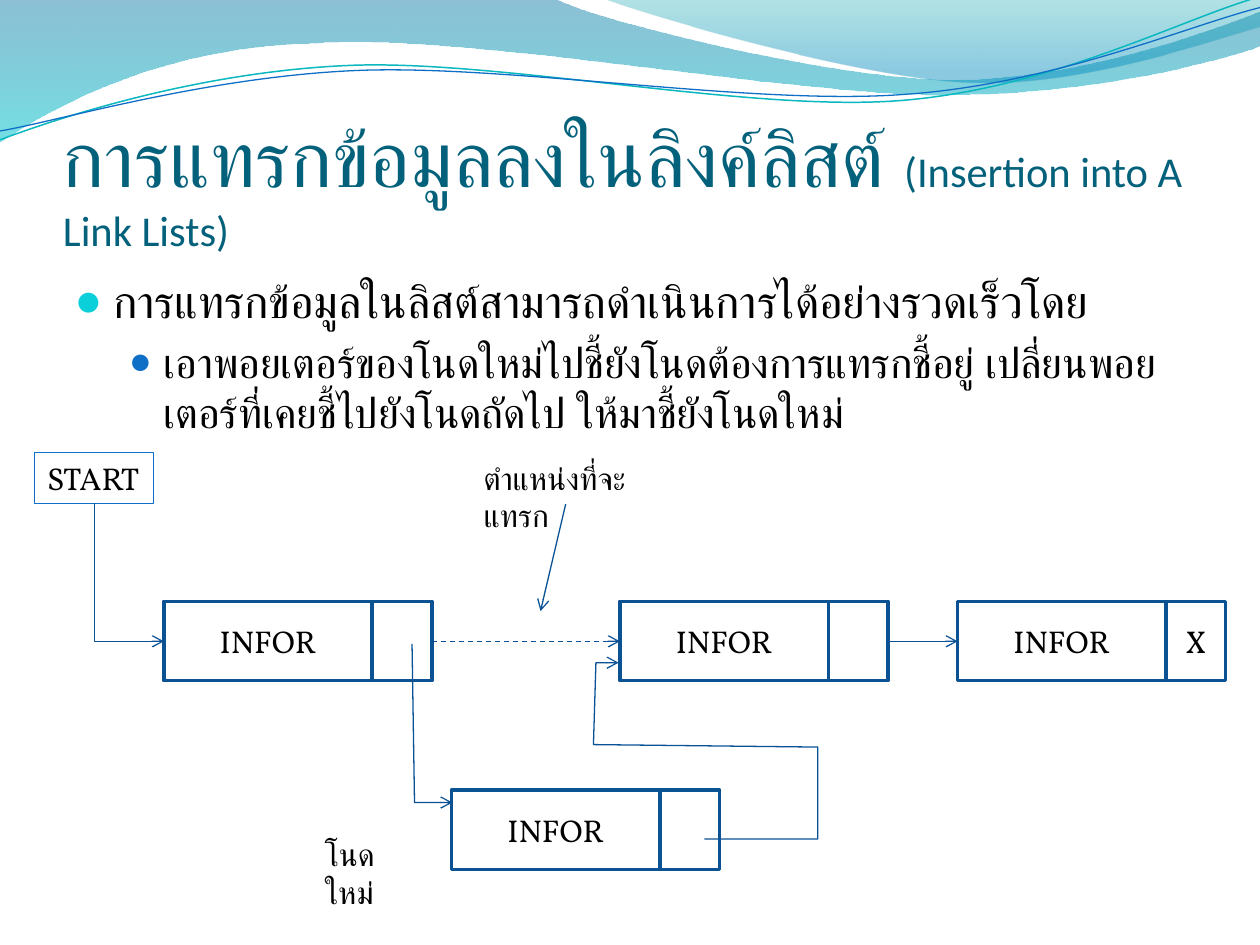
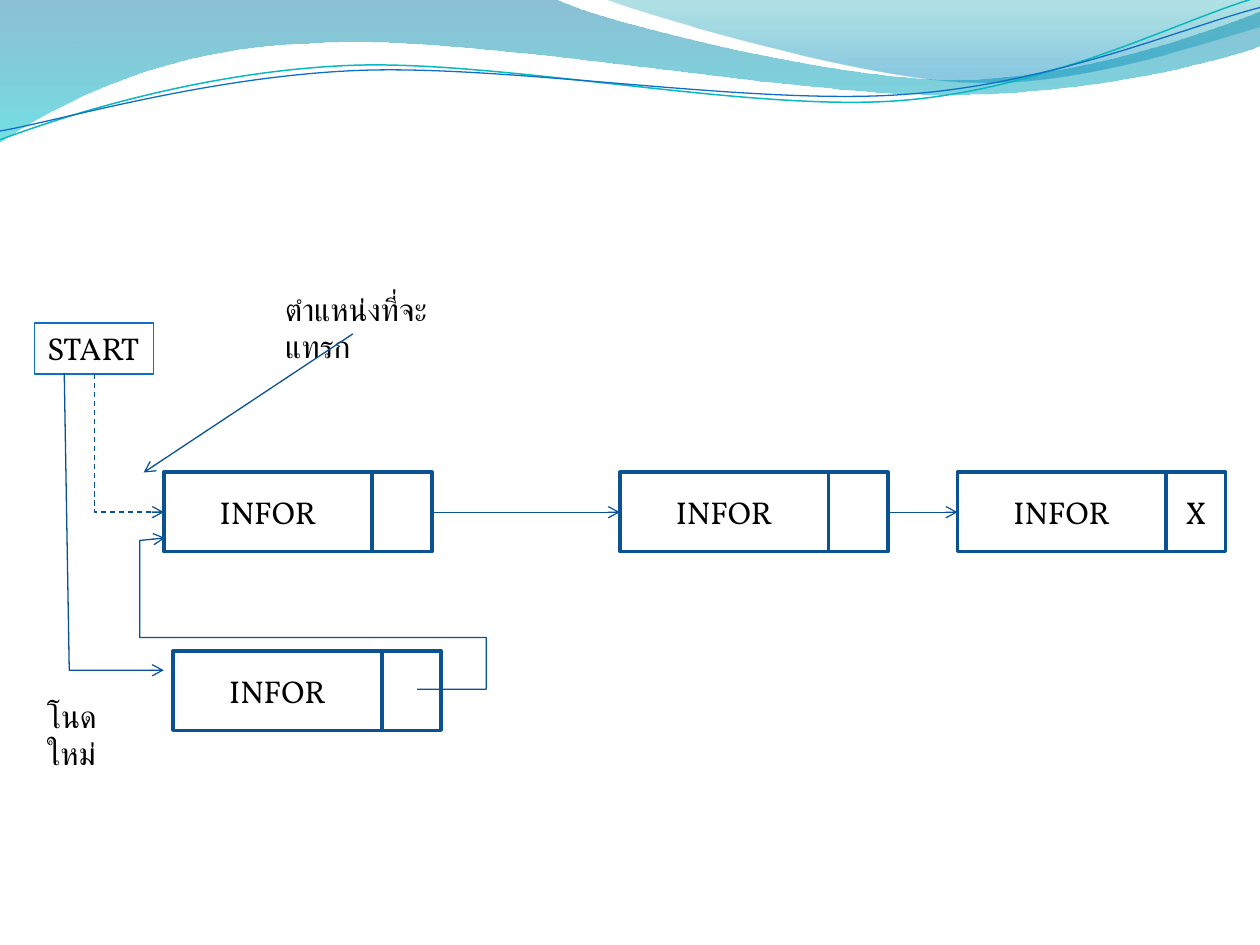
"""Builds two slides on inserting a node into a linked list."""
from dataclasses import dataclass

from pptx import Presentation
from pptx.dml.color import RGBColor
from pptx.enum.dml import MSO_LINE
from pptx.enum.shapes import MSO_CONNECTOR, MSO_SHAPE
from pptx.enum.text import MSO_ANCHOR, PP_ALIGN
from pptx.oxml.xmlchemy import OxmlElement
from pptx.util import Inches, Pt

RECTANGLE = MSO_SHAPE.RECTANGLE
STRAIGHT, ELBOW = MSO_CONNECTOR.STRAIGHT, MSO_CONNECTOR.ELBOW
DASH = MSO_LINE.DASH
TOP, MIDDLE, BOTTOM = MSO_ANCHOR.TOP, MSO_ANCHOR.MIDDLE, MSO_ANCHOR.BOTTOM
LEFT, CENTER = PP_ALIGN.LEFT, PP_ALIGN.CENTER

SLIDE_WIDTH, SLIDE_HEIGHT = Inches(10), Inches(7.5)
COLUMNS = 100
CELL = SLIDE_WIDTH // COLUMNS

TITLE_FONT, TEXT_FONT = "Calibri", "Vollkorn"
BLACK, WHITE, TITLE_COLOR = "000000", "FFFFFF", "04617B"
NODE_LINE, ARROW_LINE, START_LINE = "0B5292", "095295", "0F6FC6"

INFO_WIDTH, POINTER_WIDTH, NODE_HEIGHT = 16.55, 4.72, 6.3
NODE_COLUMNS = (13, 49.2, 76)
START_HEIGHT, START_TO_NODES, START_TO_ARROWS = 4.04, 11.83, 15

Point = tuple[float, float]
Strand = tuple[Point, ...]


@dataclass(frozen=True)
class Area:
    """A rectangle in grid columns and rows."""
    left: float
    top: float
    width: float
    height: float

    def emu(self) -> list[int]:
        """Returns the rectangle in slide units."""
        return [grid(n) for n in (self.left, self.top, self.width, self.height)]


@dataclass(frozen=True)
class Span:
    """A piece of text in one format."""
    text: str
    size: float = 18
    font: str = TEXT_FONT
    color: str = BLACK


@dataclass(frozen=True)
class Bullet:
    """A bulleted paragraph."""
    span: Span
    level: int
    margin: float
    hanging: float
    color: str
    percent: int


@dataclass(frozen=True)
class Stop:
    """A gradient stop with its opacity in percent."""
    position: float
    color: str
    opacity: int


@dataclass(frozen=True)
class Wave:
    """Strands that are single corners or chained cubic curves."""
    strands: tuple[Strand, ...]
    stops: tuple[Stop, ...] = ()
    line: str = ""
    width: float = 0.75


WAVES = (
    Wave((((0, 0),),
          ((44, -0.1), (47.6, 1.7), (66.4, 6.3), (75.8, 6.3),
           (85.3, 6.3), (95.8, 2.6), (100, 0.9)),
          ((100.1, 3.6), (98.3, 4.4), (87, 7.6), (74.6, 7.5),
           (62.2, 7.5), (38.2, 2.8), (25.7, 3.4),
           (12.9, 3.6), (4.6, 8.3), (-0.1, 11.3)),
          ((0, 0),)),
         stops=(Stop(0, "0074A1", 45), Stop(1, "00C6CF", 55))),
    Wave((((47.9, -0.1), (50.9, 1.1), (68.2, 6.2), (76.9, 6.5),
           (85.6, 6.9), (96.1, 3.2), (100, 2.1)),
          ((100, 0),),
          ((47.9, -0.1),)),
         stops=(Stop(0, "00A1A9", 30), Stop(0.8, "008BBF", 45))),
    Wave((((0, 11.1), (4.8, 9.3), (15.8, 5.7), (27.7, 5.2),
           (39.5, 4.7), (59.3, 8.9), (71.3, 8),
           (83.3, 7.1), (93.8, 1.5), (99.8, -0.2)),),
         line="0AB8BF", width=0.85),
    Wave((((0, 10.4), (4.7, 9.6), (16.4, 6.1), (28.3, 5.6),
           (40.3, 5.1), (59.7, 8.4), (71.7, 7.5),
           (83.6, 6.7), (94.1, 2.1), (100, 0.6)),),
         line="0F6FC6"),
)

TITLE = (Span("การแทรกข้อมูลลงในลิงค์ลิสต์ ", 45, TITLE_FONT, TITLE_COLOR),
         Span("(Insertion into A Link Lists)", 24.3, TITLE_FONT, TITLE_COLOR))
BULLETS = (
    Bullet(Span("การแทรกข้อมูลในลิสต์สามารถดำเนินการได้อย่างรวดเร็วโดย", 26),
           0, 3, 3, "0BD0D9", 95),
    Bullet(Span("เอาพอยเตอร์ของโนดใหม่ไปชี้ยังโนดต้องการแทรกชี้อยู่ "
                "เปลี่ยนพอยเตอร์ที่เคยชี้ไปยังโนดถัดไป ให้มาชี้ยังโนดใหม่", 24),
           1, 7, 2.7, "0F6FC6", 85),
)


def grid(count: float) -> int:
    """Turns grid cells into slide units."""
    return round(count * CELL)


def rgb(color: str) -> RGBColor:
    """Turns a hex string into a colour."""
    return RGBColor.from_string(color)


def add_child(parent, tag: str, **attributes):
    """Appends an XML element with attributes."""
    child = OxmlElement(tag)
    for name, value in attributes.items():
        child.set(name, str(value))
    parent.append(child)
    return child


def add_span(para, span: Span):
    """Adds one run to a paragraph."""
    run = para.add_run()
    run.text = span.text
    run.font.size, run.font.name = Pt(span.size), span.font
    run.font.color.rgb = rgb(span.color)
    return run


def style_line(shape, color: str, width: float, dashed: bool = False,
               arrow: bool = False) -> None:
    """Sets colour, width, dash and arrowhead of a line."""
    shape.line.color.rgb = rgb(color)
    shape.line.width = Pt(width)
    if dashed:
        shape.line.dash_style = DASH
    if arrow:
        add_child(shape._element.xpath(".//a:ln")[0], "a:tailEnd", type="arrow")


def add_outline(page, points: list[Point], close: bool = False):
    """Adds an unfilled outline through the points."""
    first, *rest = [(grid(x), grid(y)) for x, y in points]
    builder = page.shapes.build_freeform(*first, scale=1.0)
    builder.add_line_segments(rest, close=close)
    shape = builder.convert_to_shape()
    shape.shadow.inherit = False
    shape.fill.background()
    return shape


def bend(shape, strands: tuple[Strand, ...]) -> None:
    """Turns the straight steps of each curved strand into cubic curves."""
    steps = shape._element.xpath(".//a:lnTo")
    start = 0
    for strand in strands:
        for first in range(start, start + len(strand) - 1, 3):
            curve = OxmlElement("a:cubicBezTo")
            steps[first].addprevious(curve)
            for step in steps[first:first + 3]:
                curve.append(step[0])
                step.getparent().remove(step)
        start += len(strand)


def add_wave(page, wave: Wave):
    """Draws a gradient band or a curved line."""
    points = [point for strand in wave.strands for point in strand]
    shape = add_outline(page, points, close=bool(wave.stops))
    bend(shape, wave.strands)
    if wave.line:
        style_line(shape, wave.line, wave.width)
        return shape
    shape.line.fill.background()
    shape.fill.gradient()
    shape.fill.gradient_angle = 270
    for target, stop in zip(shape.fill.gradient_stops, wave.stops):
        target.position = stop.position
        target.color.rgb = rgb(stop.color)
    for color, stop in zip(shape._element.xpath(".//a:gs/a:srgbClr"), wave.stops):
        add_child(color, "a:alpha", val=stop.opacity * 1000)
    return shape


def add_text(page, area: Area, *spans: Span, anchor=TOP):
    """Adds a wrapping text box with one paragraph."""
    box = page.shapes.add_textbox(*area.emu())
    frame = box.text_frame
    frame.word_wrap, frame.vertical_anchor = True, anchor
    for span in spans:
        add_span(frame.paragraphs[0], span)
    return frame


def add_bullets(page, area: Area) -> None:
    """Adds the bulleted body text."""
    frame = add_text(page, area)
    for index, bullet in enumerate(BULLETS):
        para = frame.add_paragraph() if index else frame.paragraphs[0]
        para.level = bullet.level
        add_span(para, bullet.span)
        props = para._p.get_or_add_pPr()
        props.set("marL", str(grid(bullet.margin)))
        props.set("indent", str(-grid(bullet.hanging)))
        add_child(add_child(props, "a:spcBef"), "a:spcPct", val=20000)
        add_child(add_child(props, "a:buClr"), "a:srgbClr", val=bullet.color)
        add_child(props, "a:buSzPct", val=bullet.percent * 1000)
        add_child(props, "a:buFont", typeface=TITLE_FONT)
        add_child(props, "a:buChar", char="●")


def add_cell(page, area: Area, text: str = "") -> None:
    """Draws one compartment of a node."""
    shape = page.shapes.add_shape(RECTANGLE, *area.emu())
    shape.shadow.inherit = False
    shape.fill.solid()
    shape.fill.fore_color.rgb = rgb(WHITE)
    style_line(shape, NODE_LINE, 2)
    if text:
        shape.text_frame.vertical_anchor = MIDDLE
        para = shape.text_frame.paragraphs[0]
        para.alignment = CENTER
        add_span(para, Span(text))


def add_node(page, left: float, top: float, pointer: str = "") -> None:
    """Draws a node with its data and pointer compartments."""
    add_cell(page, Area(left, top, INFO_WIDTH, NODE_HEIGHT), "INFOR")
    add_cell(page, Area(left + INFO_WIDTH, top, POINTER_WIDTH, NODE_HEIGHT), pointer)


def add_arrow(page, start: Point, end: Point, dashed: bool = False, kind=STRAIGHT):
    """Draws an arrow between two points."""
    line = page.shapes.add_connector(kind, *(grid(n) for n in (*start, *end)))
    style_line(line, ARROW_LINE, 0.75, dashed, arrow=True)
    add_child(line._element.spPr, "a:effectLst")
    return line


def add_corner_arrow(page, start: Point, end: Point, dashed: bool) -> None:
    """Draws an arrow that runs down and then right."""
    middle_x, middle_y = (start[0] + end[0]) / 2, (start[1] + end[1]) / 2
    half_width, half_height = (end[1] - start[1]) / 2, (end[0] - start[0]) / 2
    line = add_arrow(page, (middle_x + half_width, middle_y - half_height),
                     (middle_x - half_width, middle_y + half_height), dashed, ELBOW)
    line._element.xpath(".//a:prstGeom")[0].set("prst", "bentConnector2")
    line._element.xpath(".//a:xfrm")[0].set("rot", str(270 * 60000))


def add_route(page, *points: Point) -> None:
    """Draws an arrow along several points."""
    style_line(add_outline(page, list(points)), ARROW_LINE, 0.75, arrow=True)


def add_start(page, top: float) -> None:
    """Draws the START box with outlined letters."""
    start = page.shapes.add_shape(RECTANGLE, *Area(2.75, top, 9.45, START_HEIGHT).emu())
    start.shadow.inherit = False
    start.fill.background()
    style_line(start, START_LINE, 0.75)
    start.text_frame.word_wrap = False
    start.text_frame.vertical_anchor = TOP
    para = start.text_frame.paragraphs[0]
    para.alignment = LEFT
    props = add_span(para, Span("START")).font._element
    outline = add_child(props, "a:ln", w=Pt(0.75))
    add_child(add_child(outline, "a:solidFill"), "a:srgbClr", val=BLACK)
    props.insert(0, outline)


def add_list(page, top: float, dashed_start: bool = False, dashed_gap: bool = False) -> None:
    """Draws START and the three linked nodes."""
    add_start(page, top)
    for left, pointer in zip(NODE_COLUMNS, ("", "", "X")):
        add_node(page, left, top + START_TO_NODES, pointer)
    row = top + START_TO_ARROWS
    add_corner_arrow(page, (7.5, top + START_HEIGHT), (NODE_COLUMNS[0], row), dashed_start)
    for left, target, dashed in zip(NODE_COLUMNS, NODE_COLUMNS[1:], (dashed_gap, False)):
        add_arrow(page, (left + INFO_WIDTH + POINTER_WIDTH, row), (target, row), dashed)


def add_labels(page, new_node: Point, position: Point) -> None:
    """Labels the new node and the place of insertion."""
    add_text(page, Area(*new_node, 8.4, 4), Span("โนด ใหม่"))
    add_text(page, Area(*position, 15, 4), Span("ตำแหน่งที่จะแทรก"))


def move_waves_to_layout(page) -> None:
    """Draws the wave band once, on the layout that the slides share."""
    layout = page.slide_layout
    for holder in list(layout.placeholders):
        holder._element.getparent().remove(holder._element)
    for wave in WAVES:
        layout.shapes._spTree.append(add_wave(page, wave)._element)


def build_middle_insertion(page) -> None:
    """Shows a node inserted between two others."""
    frame = add_text(page, Area(5, 7.7, 90, 12.5), *TITLE, anchor=BOTTOM)
    frame.margin_left = frame.margin_right = frame.margin_bottom = 0
    add_bullets(page, Area(5, 21.2, 90, 48))
    add_list(page, 35.9, dashed_gap=True)
    add_node(page, 35.84, 62.7)
    add_route(page, (32.7, 51.1), (32.9, 63.7), (35.9, 63.7))
    add_route(page, (55.9, 66.6), (64.9, 66.6), (64.9, 59.3),
              (47.1, 59.1), (47.3, 52.6), (49.1, 52.6))
    add_labels(page, (24.8, 65.8), (37.4, 35.9))
    add_arrow(page, (44.9, 40), (42.9, 48.5))


def build_front_insertion(page) -> None:
    """Shows a node inserted at the front."""
    add_list(page, 25.65, dashed_start=True)
    add_node(page, 13.75, 51.67)
    add_route(page, (5.1, 29.6), (5.5, 53.2), (13, 53.2))
    add_labels(page, (2.75, 54.8), (21.65, 22.5))
    add_arrow(page, (28, 26.5), (11.4, 37.5))
    add_route(page, (33.1, 54.7), (38.6, 54.7), (38.6, 50.6),
              (11.1, 50.6), (11.1, 42.9), (13.1, 42.7))


def main() -> None:
    """Builds and saves the deck."""
    deck = Presentation()
    deck.slide_width, deck.slide_height = SLIDE_WIDTH, SLIDE_HEIGHT
    blank = deck.slide_layouts[6]
    pages = [deck.slides.add_slide(blank) for _ in range(2)]
    move_waves_to_layout(pages[0])
    build_middle_insertion(pages[0])
    build_front_insertion(pages[1])
    deck.save("out.pptx")


if __name__ == "__main__":
    main()
